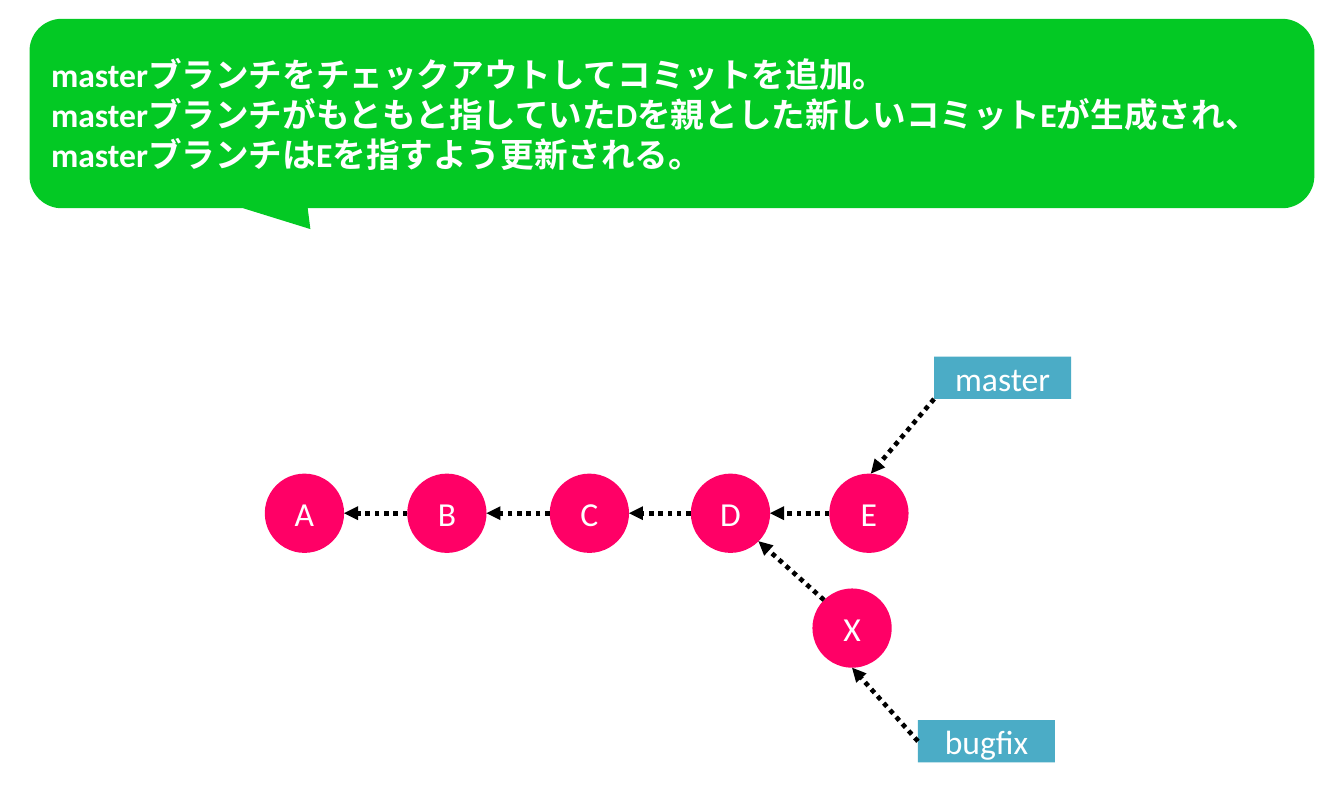
import math

import lxml.etree
import pptx
import pptx.dml.color
import pptx.enum.dml
import pptx.enum.shapes
import pptx.enum.text
import pptx.oxml.ns
import pptx.util

COLORS = {"commit": "FF0066", "branch": "4BACC6", "callout": "03C924", "text": "FFFFFF", "arrow": "000000"}
SHAPES = pptx.enum.shapes.MSO_SHAPE
ALIGN = pptx.enum.text.PP_ALIGN

presentation = pptx.Presentation()
presentation.slide_width = pptx.util.Inches(10)
presentation.slide_height = pptx.util.Inches(5.91)
slide = presentation.slides.add_slide(presentation.slide_layouts[6])
column = presentation.slide_width / 100
row = presentation.slide_height / 59.1


def style_shape(shape, color, paragraphs, alignment, bold, insets):
    shape.shadow.inherit = False
    shape.fill.solid()
    shape.fill.fore_color.rgb = pptx.dml.color.RGBColor.from_string(COLORS[color])
    shape.line.fill.background()
    frame = shape.text_frame
    frame.word_wrap = True
    frame.vertical_anchor = pptx.enum.text.MSO_ANCHOR.MIDDLE
    for side, inset in zip(("left", "top", "right", "bottom"), insets):
        setattr(frame, f"margin_{side}", pptx.util.Inches(inset))
    frame.text = "\n".join(paragraphs)
    font_format = {"name": "Calibri", "size": pptx.util.Pt(18), "bold": bold}
    for paragraph in frame.paragraphs:
        paragraph.alignment = alignment
        for font in (paragraph.font, paragraph.runs[0].font):
            for name, value in font_format.items():
                setattr(font, name, value)
            font.color.rgb = pptx.dml.color.RGBColor.from_string(COLORS["text"])


def add_arrow(start, end):
    points = [round(value * unit) for point in (start, end) for value, unit in zip(point, (column, row))]
    connector = slide.shapes.add_connector(pptx.enum.shapes.MSO_CONNECTOR.STRAIGHT, *points)
    connector.line.width = pptx.util.Pt(2.5)
    connector.line.color.rgb = pptx.dml.color.RGBColor.from_string(COLORS["arrow"])
    connector.line.dash_style = pptx.enum.dml.MSO_LINE.ROUND_DOT
    properties = connector.line._get_or_add_ln()
    lxml.etree.SubElement(properties, pptx.oxml.ns.qn("a:tailEnd"), type="triangle")
    lxml.etree.SubElement(connector._element.spPr, pptx.oxml.ns.qn("a:effectLst"))
    return connector


left, top, right, bottom, radius = 2.2, 1.4, 97.8, 15.5, 2.4
corners = [
    (left + radius, top + radius, 180),
    (right - radius, top + radius, 270),
    (right - radius, bottom - radius, 0),
    (left + radius, bottom - radius, 90),
]
outline = [
    [
        (x + radius * math.cos(math.radians(start + step)), y + radius * math.sin(math.radians(start + step)))
        for step in range(0, 91, 5)
    ]
    for x, y, start in corners
]
tail = [(22.9, bottom), (23.1, 17.05), (18.1, bottom)]
points = [
    (round(x * column), round(y * row))
    for x, y in outline[0] + outline[1] + outline[2] + tail + outline[3]
]
builder = slide.shapes.build_freeform(*points[0])
builder.add_line_segments(points[1:], close=True)
message = [
    "masterブランチをチェックアウトしてコミットを追加。",
    "masterブランチがもともと指していたDを親とした新しいコミットEが生成され、masterブランチはEを指すよう更新される。",
]
style_shape(builder.convert_to_shape(), "callout", message, ALIGN.LEFT, True, (0.16, 0, 0.16, 0.15))

diameter = 5.9
reach = diameter / 2
diagonal = reach * math.sqrt(0.5)
main_row = 38.2
centers = {
    "A": (22.65, main_row),
    "B": (33.25, main_row),
    "C": (43.85, main_row),
    "D": (54.35, main_row),
    "E": (64.65, main_row),
    "X": (63.4, 46.75),
}
for commit, (x, y) in centers.items():
    shape = slide.shapes.add_shape(
        SHAPES.OVAL,
        round((x - reach) * column),
        round((y - reach) * row),
        round(diameter * column),
        round(diameter * row),
    )
    style_shape(shape, "commit", [commit], ALIGN.CENTER, False, (0.1, 0.05, 0.1, 0.05))

branches = {}
for branch, (x, y) in {"master": (69.5, 26.55), "bugfix": (68.3, 53.6)}.items():
    shape = slide.shapes.add_shape(
        SHAPES.RECTANGLE, round(x * column), round(y * row), round(10.2 * column), round(3.15 * row)
    )
    style_shape(shape, "branch", [branch], ALIGN.CENTER, False, (0.1, 0.05, 0.1, 0.05))
    branches[branch] = shape

for parent, child in zip("ABCD", "BCDE"):
    add_arrow((centers[child][0] - reach, main_row), (centers[parent][0] + reach, main_row))
add_arrow(
    (centers["X"][0] - diagonal, centers["X"][1] - diagonal),
    (centers["D"][0] + diagonal, centers["D"][1] + diagonal),
)
add_arrow((69.5, 29.7), (64.8, main_row - reach))
bugfix_arrow = add_arrow((68.3, 55.2), (centers["X"][0], centers["X"][1] + reach))
bugfix_arrow.begin_connect(branches["bugfix"], 1)

presentation.save("out.pptx")
